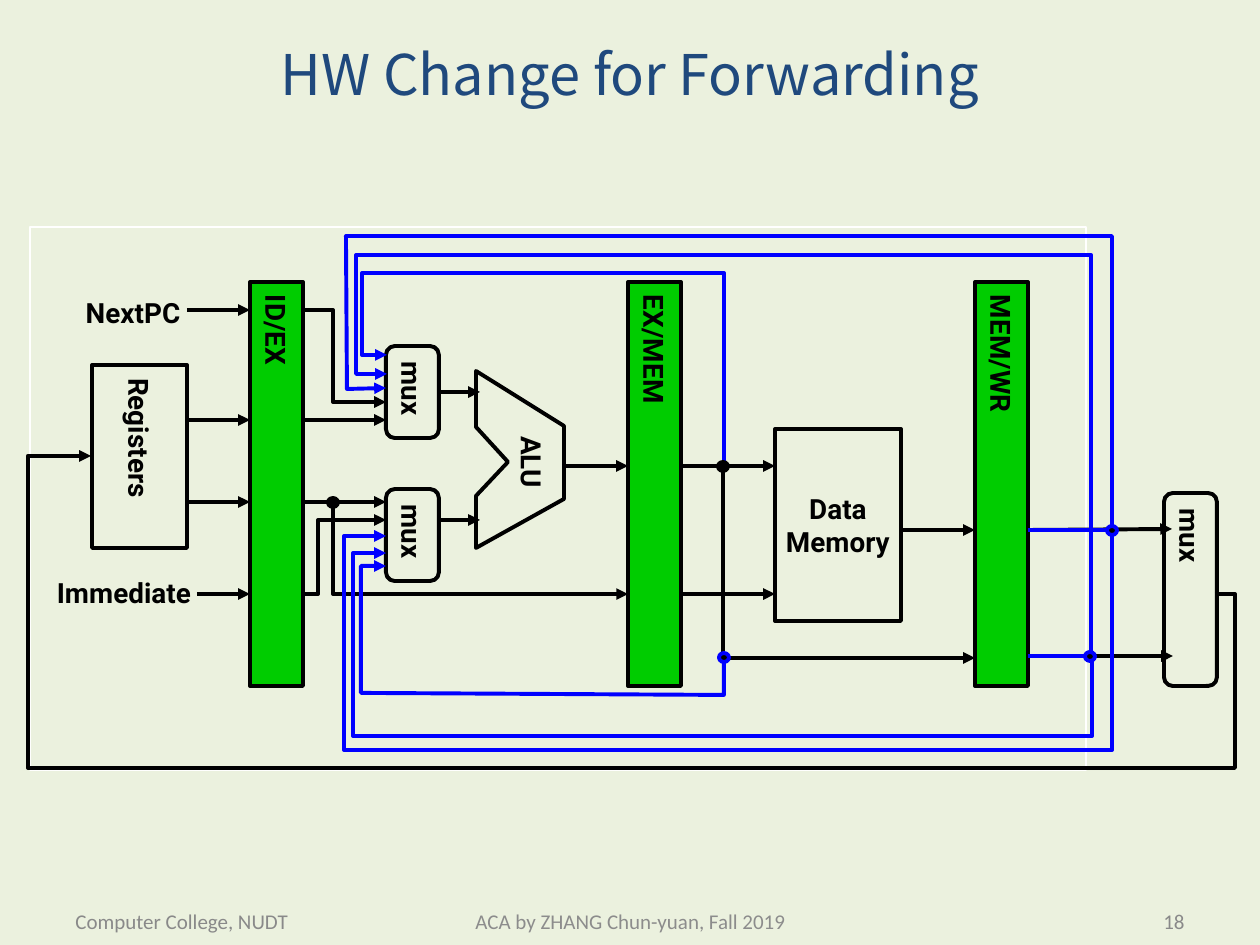
from typing import NamedTuple

from lxml.etree import SubElement
from pptx import Presentation
from pptx.dml.color import RGBColor
from pptx.enum.shapes import MSO_CONNECTOR as Connector, MSO_SHAPE as Preset
from pptx.enum.text import MSO_ANCHOR as Anchor, PP_ALIGN as Align
from pptx.oxml.ns import qn
from pptx.util import Pt

SCALE = 914400 / 126
BLACK, BLUE, GREEN = "000000", "0000FF", "00CC00"
LINE_WIDTH = 2.25


class Block(NamedTuple):
    text: str
    left: int
    top: int
    width: int
    height: int
    fill: str | None = None
    rounded: bool = False
    vertical: bool = True


class Wire(NamedTuple):
    points: list[tuple[int, int]]
    color: str = BLACK


class Dot(NamedTuple):
    x: int
    y: int
    color: str = BLACK


class Label(NamedTuple):
    text: str
    left: int
    top: int
    width: int
    height: int
    size: float = 15.9
    font: str = "Roboto"
    color: str = BLACK
    bold: bool = True
    align: Align = Align.CENTER
    wrap: bool = False
    rotation: int = 0


BLOCKS = [
    Block("MEM/WR", 975, 282, 53, 404, GREEN),
    Block("ID/EX", 250, 282, 53, 404, GREEN),
    Block("EX/MEM", 628, 282, 53, 404, GREEN),
    Block("Data\nMemory", 775, 429, 126, 192, vertical=False),
    Block("mux", 386, 346, 53, 92, rounded=True),
    Block("mux", 386, 489, 53, 92, rounded=True),
    Block("Registers", 92, 365, 95, 183),
    Block("mux", 1164, 493, 53, 193, rounded=True),
]

ALU_OUTLINE = [(476, 371), (564, 426), (564, 499), (476, 548),
               (476, 496), (508, 462), (476, 427)]

DATAPATH = [
    Wire([(438, 392), (480, 392)]),
    Wire([(438, 520), (480, 520)]),
    Wire([(187, 420), (250, 420)]),
    Wire([(187, 502), (250, 502)]),
    Wire([(302, 420), (386, 420)]),
    Wire([(302, 502), (386, 502)]),
    Wire([(187, 310), (250, 310)]),
    Wire([(302, 310), (333, 310), (333, 402), (386, 402)]),
    Wire([(197, 594), (250, 594)]),
    Wire([(302, 594), (318, 594), (318, 520), (386, 520)]),
    Wire([(333, 502), (333, 594), (628, 594)]),
    Wire([(680, 594), (775, 594)]),
    Wire([(564, 466), (628, 466)]),
    Wire([(680, 466), (775, 466)]),
    Wire([(901, 530), (975, 530)]),
    Wire([(723, 466), (723, 658), (975, 658)]),
    Wire([(1030, 656), (1173, 656)]),
    Wire([(1028, 530), (1172, 529)]),
    Wire([(1215, 594), (1235, 594), (1235, 768), (28, 768), (28, 456), (91, 456)]),
]

FORWARDING = [
    Wire([(724, 658), (724, 695), (361, 693), (361, 566), (386, 566)], BLUE),
    Wire([(1112, 530), (1112, 236), (346, 236), (347, 389), (386, 388)], BLUE),
    Wire([(1028, 656), (1092, 656), (1092, 736), (353, 736), (353, 553), (386, 553)], BLUE),
    Wire([(1028, 530), (1112, 530), (1112, 750), (344, 750), (344, 536), (386, 536)], BLUE),
    Wire([(724, 465), (724, 273), (362, 273), (362, 355), (387, 355)], BLUE),
    Wire([(1091, 657), (1091, 255), (356, 255), (356, 374), (387, 374)], BLUE),
]

DOTS = [Dot(723, 466), Dot(333, 502), Dot(724, 657, BLUE),
        Dot(1090, 656, BLUE), Dot(1112, 530, BLUE)]

FOOTER = dict(size=12, font="Calibri", bold=False, wrap=True)
LABELS = [
    Label("HW Change for Forwarding", 63, 24, 1134, 98, size=32,
          font="Noto Sans CJK SC", color="1F497D", bold=False, wrap=True),
    Label("ALU", 491, 439, 82, 46, rotation=90),
    Label("NextPC", 68, 289, 130, 46),
    Label("Immediate", 34, 569, 180, 46),
    Label("Computer College, NUDT", 63, 896, 294, 50, color="898989",
          align=Align.LEFT, **FOOTER),
    Label("ACA by ZHANG Chun-yuan, Fall 2019", 431, 896, 399, 50,
          color="8C8C8C", **FOOTER),
    Label("18", 903, 896, 294, 50, color="898989", align=Align.RIGHT, **FOOTER),
]


def px(*lengths: int) -> list[int]:
    return [round(length * SCALE) for length in lengths]


def rgb(color: str) -> RGBColor:
    return RGBColor.from_string(color)


def write(shape, text: str, *, size: float = 15.9, font: str = "Roboto",
          color: str = BLACK, bold: bool = True, align: Align = Align.CENTER,
          wrap: bool = False) -> None:
    frame = shape.text_frame
    frame.word_wrap = wrap
    frame.vertical_anchor = Anchor.MIDDLE
    for index, line in enumerate(text.split("\n")):
        para = frame.add_paragraph() if index else frame.paragraphs[0]
        para.alignment = align
        span = para.add_run()
        span.text = line
        span.font.size, span.font.name, span.font.bold = Pt(size), font, bold
        span.font.color.rgb = rgb(color)


def style(shape, fill: str | None = None, line: str = BLACK,
          width: float = LINE_WIDTH) -> None:
    shape.shadow.inherit = False
    if fill:
        shape.fill.solid()
        shape.fill.fore_color.rgb = rgb(fill)
    else:
        shape.fill.background()
    shape.line.color.rgb = rgb(line)
    shape.line.width = Pt(width)


def draw_block(page, block: Block) -> None:
    preset = Preset.ROUNDED_RECTANGLE if block.rounded else Preset.RECTANGLE
    box = page.shapes.add_shape(
        preset, *px(block.left, block.top, block.width, block.height))
    style(box, block.fill)
    if block.vertical:
        frame = box.text_frame
        frame.margin_left = frame.margin_right = 0
        frame.margin_top, frame.margin_bottom = px(13, 0)
        write(box, block.text, align=Align.LEFT, wrap=True)
        frame._txBody.bodyPr.set("vert", "eaVert")
    else:
        write(box, block.text)


def draw_outline(page, points: list[tuple[int, int]], color: str, closed: bool):
    builder = page.shapes.build_freeform(*points[0], scale=SCALE)
    builder.add_line_segments(points[1:], close=closed)
    outline = builder.convert_to_shape()
    style(outline, line=color)
    return outline


def draw_wire(page, wire: Wire) -> None:
    """Draw a straight or bent line with an arrowhead at its last point."""
    if len(wire.points) == 2:
        start, end = wire.points
        line = page.shapes.add_connector(Connector.STRAIGHT, *px(*start, *end))
        line.line.color.rgb = rgb(wire.color)
        line.line.width = Pt(LINE_WIDTH)
        SubElement(line._element.spPr, qn("a:effectLst"))
    else:
        line = draw_outline(page, wire.points, wire.color, closed=False)
    SubElement(line.line._get_or_add_ln(), qn("a:tailEnd"), type="triangle")


def draw_dot(page, dot: Dot) -> None:
    oval = page.shapes.add_shape(Preset.OVAL, *px(dot.x - 5, dot.y - 4, 10, 9))
    style(oval, BLACK, dot.color)


def draw_label(page, label: Label) -> None:
    text, left, top, width, height, *_ = label
    box = page.shapes.add_textbox(*px(left, top, width, height))
    box.rotation = label.rotation
    write(box, text, size=label.size, font=label.font, color=label.color,
          bold=label.bold, align=label.align, wrap=label.wrap)


def main() -> None:
    deck = Presentation()
    deck.slide_width, deck.slide_height = px(1260, 945)
    page = deck.slides.add_slide(deck.slide_layouts[6])
    page.background.fill.solid()
    page.background.fill.fore_color.rgb = rgb("EBF1DE")

    frame = page.shapes.add_shape(Preset.RECTANGLE, *px(30, 227, 1056, 543))
    style(frame, line="FFFFFE", width=0)
    for block in BLOCKS:
        draw_block(page, block)
    draw_outline(page, ALU_OUTLINE, BLACK, closed=True)
    for wire in DATAPATH + FORWARDING:
        draw_wire(page, wire)
    for dot in DOTS:
        draw_dot(page, dot)
    for label in LABELS:
        draw_label(page, label)
    deck.save("out.pptx")


if __name__ == "__main__":
    main()
